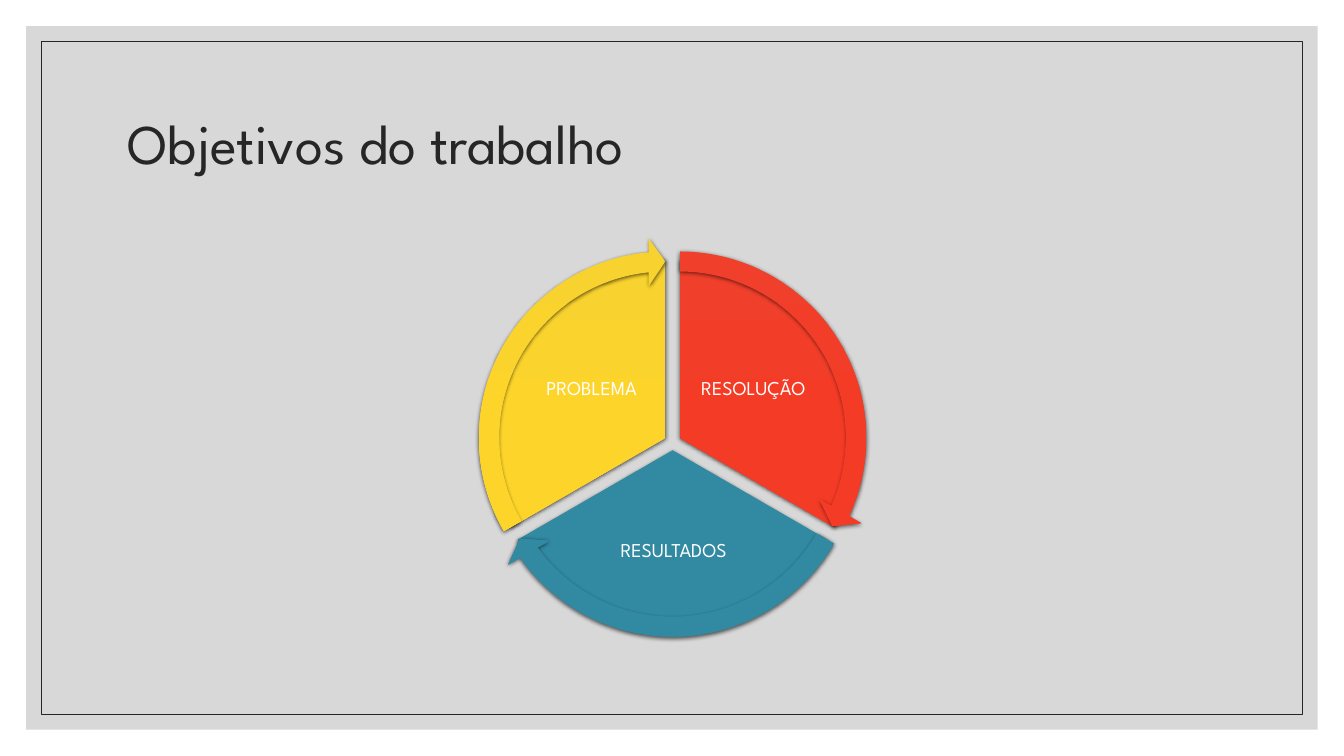
from copy import deepcopy
from math import cos, radians, sin

from lxml.etree import SubElement
from pptx import Presentation
from pptx.dml.color import RGBColor
from pptx.enum.shapes import MSO_SHAPE as Preset
from pptx.enum.text import MSO_ANCHOR as Anchor, PP_ALIGN as Align
from pptx.oxml.ns import qn
from pptx.util import Cm, Pt

COLORS = {
    "panel": "BFBFBF",
    "ink": "262626",
    "label": "FFFFFF",
    "shadow": "000000",
    "red": ("F03F2B", "F43B26", "F33B26"),
    "blue": ("3488A0", "3189A2", "3188A1"),
    "yellow": ("F8D22F", "FCD42A", "FBD32A"),
}
FONT = "League Spartan"
STAGES = [
    ("RESOLUÇÃO", "red", (2.04, -1.36), (3.2, 2.67)),
    ("RESULTADOS", "blue", (0.03, 2.72), (4.8, 2.36)),
    ("PROBLEMA", "yellow", (-2.04, -1.36), (3.2, 2.67)),
]
SWEEP = 360 / len(STAGES)
ANGLE_UNIT = 0.6


def color(name):
    return RGBColor.from_string(COLORS[name])


def add_alpha(color_element, percent):
    SubElement(color_element, qn("a:alpha"), val=str(percent * 1000))


def add_text(slide, text, box, size, ink, align=Align.LEFT, inset=None, line_spacing=1.0):
    frame = slide.shapes.add_textbox(*map(Cm, box)).text_frame
    frame.word_wrap = True
    frame.vertical_anchor = Anchor.MIDDLE
    if inset is not None:
        frame.margin_left = frame.margin_right = Cm(inset)
        frame.margin_top = frame.margin_bottom = Cm(inset)
    paragraph = frame.paragraphs[0]
    paragraph.alignment = align
    paragraph.line_spacing = line_spacing
    run = paragraph.add_run()
    run.text = text
    run.font.name = FONT
    run.font.size = Pt(size)
    run.font.color.rgb = color(ink)


def add_plain_shape(slide, preset, box):
    shape = slide.shapes.add_shape(preset, *map(Cm, box))
    shape.shadow.inherit = False
    shape.line.fill.background()
    return shape


def fill_gradient(shape, hexes):
    shape.fill.gradient()
    shape.fill.gradient_angle = 270
    stop_list = shape._element.spPr.find(".//" + qn("a:gsLst"))
    stop_list.insert(1, deepcopy(stop_list[0]))
    for stop, position, value in zip(shape.fill.gradient_stops, (0, 0.5, 1), hexes):
        stop.position = position
        stop.color.rgb = RGBColor.from_string(value)


def add_shadow(shape):
    effects = shape._element.spPr.find(qn("a:effectLst"))
    shadow = SubElement(effects, qn("a:outerShdw"), blurRad=str(Pt(3)), dist=str(Pt(1)),
                        dir="5400000", algn="ctr", rotWithShape="0")
    add_alpha(SubElement(shadow, qn("a:srgbClr"), val=COLORS["shadow"]), 63)


def add_wheel_part(slide, preset, center, diameter, hexes, adjustments):
    x, y = center
    box = (x - diameter / 2, y - diameter / 2, diameter, diameter)
    shape = add_plain_shape(slide, preset, box)
    for index, value in enumerate(adjustments):
        shape.adjustments[index] = value
    fill_gradient(shape, hexes)
    add_shadow(shape)


def draw_background(slide, box):
    left, top, width, height = box
    panel = add_plain_shape(slide, Preset.RECTANGLE, box)
    panel.fill.solid()
    panel.fill.fore_color.rgb = color("panel")
    add_alpha(panel._element.spPr.find(".//" + qn("a:srgbClr")), 60)
    gap = 0.38
    frame = add_plain_shape(slide, Preset.RECTANGLE,
                            (left + gap, top + gap, width - 2 * gap, height - 2 * gap))
    frame.fill.background()
    frame.line.color.rgb = color("ink")
    frame.line.width = Pt(0.5)


def draw_title(slide, box):
    add_text(slide, "Objetivos do trabalho", box, 40, "ink", line_spacing=0.9)


def draw_cycle(slide, box):
    left, top, diameter, _ = box
    x, y = left + diameter / 2, top + diameter / 2
    offset, pie_diameter = 0.21, diameter * 0.89
    arrows = []
    for index, (text, tone, (dx, dy), (width, height)) in enumerate(STAGES):
        start = (270 + SWEEP * index) % 360
        end = (start + SWEEP) % 360
        middle = radians(start + SWEEP / 2)
        center = (x + offset * cos(middle), y + offset * sin(middle))
        add_wheel_part(slide, Preset.PIE, center, pie_diameter, COLORS[tone],
                       (start * ANGLE_UNIT, end * ANGLE_UNIT))
        add_text(slide, text, (x + dx - width / 2, y + dy - height / 2, width, height),
                 14, "label", align=Align.CENTER, inset=0.05)
        tip = (start + SWEEP - 5.46) % 360
        arrows.append((center, diameter, COLORS[tone],
                       (0.05, 3.28, tip * ANGLE_UNIT, start * ANGLE_UNIT, 0.06)))
    for arrow in arrows:
        add_wheel_part(slide, Preset.CIRCULAR_ARROW, *arrow)


presentation = Presentation()
presentation.slide_width = Cm(33.87)
presentation.slide_height = Cm(19.05)
slide = presentation.slides.add_slide(presentation.slide_layouts[6])
draw_background(slide, (0.66, 0.66, 32.55, 17.73))
draw_title(slide, (2.97, 1.78, 27.94, 3.81))
draw_cycle(slide, (11.9, 6.09, 10.1, 10.1))
presentation.save("out.pptx")
